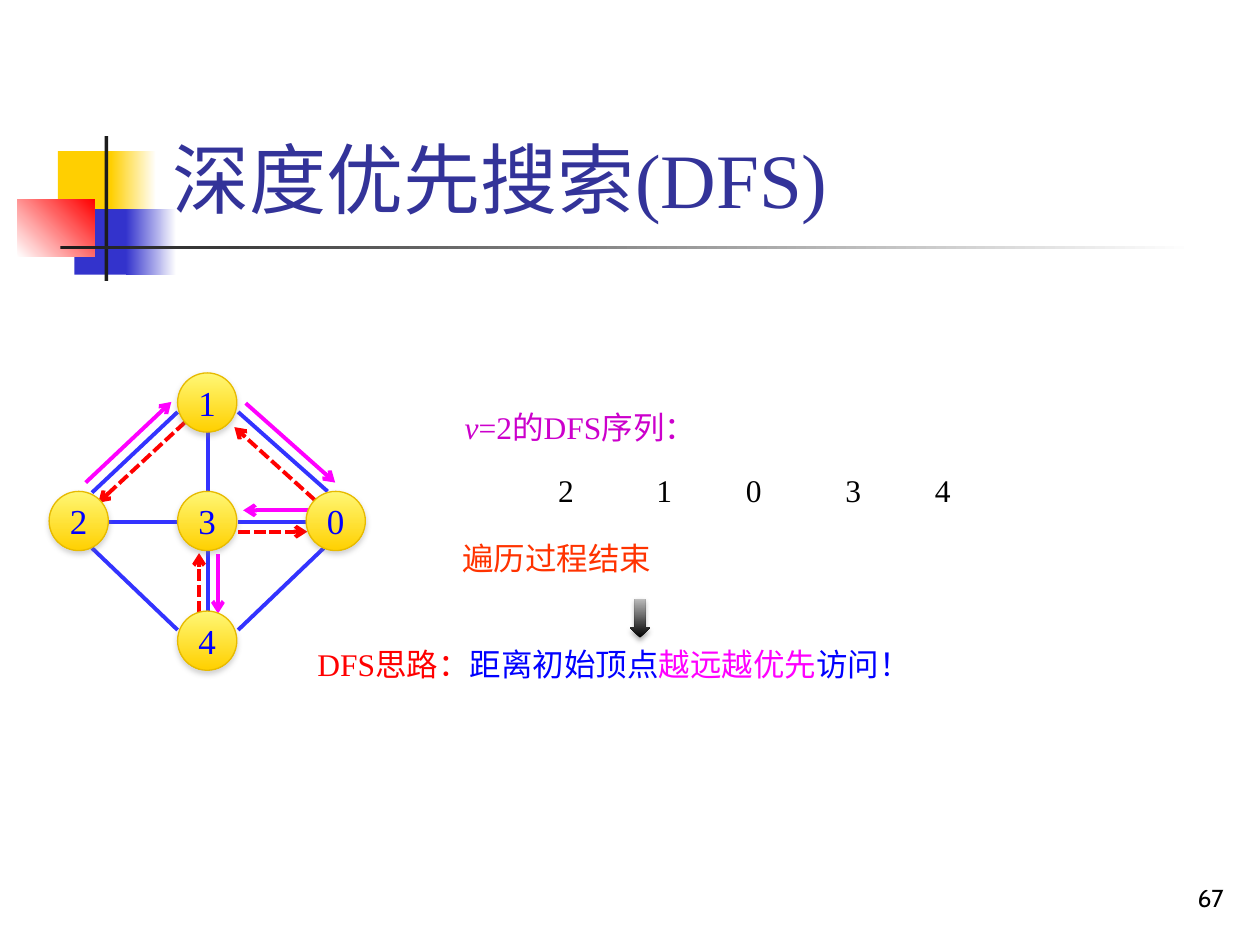
import pptx
import pptx.util
import pptx.dml.color
import pptx.enum.dml
import pptx.enum.shapes
import pptx.enum.text
import pptx.oxml
import pptx.oxml.ns
from lxml import etree

Inches = pptx.util.Inches
Shape = pptx.enum.shapes.MSO_SHAPE
Anchor = pptx.enum.text.MSO_ANCHOR
Align = pptx.enum.text.PP_ALIGN
qn = pptx.oxml.ns.qn

HEX = {
    "gold": "FFCF01", "navy": "3333CC", "white": "FFFFFF", "red": "FF0000",
    "ink": "1C1C1C", "black": "000000", "gray": "BDBDBD", "shade": "808080",
    "light": "FFF776", "deep": "FFD000", "rim": "E7BA00", "blue": "0000FF",
    "edge": "3333FF", "pink": "FF00FF", "plum": "CC00CC", "coral": "FF3300",
    "title": "333399",
}
ROMAN, HAN, CABIN = "Times New Roman", "Noto Sans CJK SC", "Cabin"

DECOR = [
    ((0.46, 1.2, 0.48, 0.52), ["gold"], 0),
    ((0.88, 1.2, 0.36, 0.52), ["gold", "white"], 0),
    ((0.59, 1.66, 0.46, 0.52), ["navy"], 0),
    ((1, 1.66, 0.4, 0.52), ["navy", "white"], 0),
    ((0.14, 1.58, 0.61, 0.46), ["white", "red"], 315),
    ((0.83, 1.08, 0.03, 1.15), ["ink"], 0),
    ((0.48, 1.95, 9, 0.03), ["ink", "white"], 0),
]
SIZE = 0.47
NODES = {"3": (1.41, 3.9), "2": (0.39, 3.9), "0": (2.43, 3.9),
         "1": (1.41, 2.96), "4": (1.41, 4.85)}
EDGES = [
    (0.73, 3.91, 1.41, 3.27), (0.86, 4.14, 1.41, 4.14),
    (1.89, 4.14, 2.44, 4.14), (0.73, 4.35, 1.41, 5),
    (1.89, 3.27, 2.6, 3.9), (1.89, 5, 2.57, 4.35),
    (1.65, 4.37, 1.65, 4.85), (1.65, 3.43, 1.65, 3.9),
]
VISITS = [(0.68, 3.83, 1.36, 3.19), (1.95, 3.2, 2.66, 3.83),
          (2.48, 4.05, 1.93, 4.05), (1.73, 4.4, 1.73, 4.87)]
RETURNS = [(1.58, 4.86, 1.58, 4.39), (1.89, 4.22, 2.44, 4.22),
           (2.5, 3.97, 1.86, 3.39), (1.47, 3.35, 0.78, 3.99)]
ORDER = [("2", 4.43), ("1", 5.21), ("0", 5.92), ("3", 6.71), ("4", 7.42)]
IDEA = [("DFS思路：", "red", ROMAN), ("距离初始顶点", "blue", HAN),
        ("越远越优先", "pink", HAN), ("访问！", "blue", HAN)]


def rgb(name):
    return pptx.dml.color.RGBColor.from_string(HEX[name])


def place(box):
    return [Inches(part) for part in box]


def style(run, name, size, face=ROMAN):
    font = run.font
    font.size = pptx.util.Pt(size)
    font.name = face
    font.color.rgb = rgb(name)
    latin = run._r.get_or_add_rPr().find(qn("a:latin"))
    east = pptx.oxml.parse_xml(
        f'<a:ea {pptx.oxml.ns.nsdecls("a")} typeface="{HAN}"/>')
    latin.addnext(east)


def paint(shape, names, turn=0):
    if len(names) == 1:
        shape.fill.solid()
        shape.fill.fore_color.rgb = rgb(names[0])
        return
    shape.fill.gradient()
    shape.fill.gradient_angle = (360 - turn) % 360
    for stop, name in zip(shape.fill.gradient_stops, names):
        stop.color.rgb = rgb(name)


def draw(slide, kind, box, names, turn=0):
    shape = slide.shapes.add_shape(kind, *place(box))
    shape.shadow.inherit = False
    shape.line.fill.background()
    paint(shape, names, turn)
    return shape


def shade(shape, name):
    effects = shape._element.spPr.find(qn("a:effectLst"))
    drop = etree.SubElement(effects, qn("a:outerShdw"), blurRad="39370",
                            dist="22860", dir="5400000", rotWithShape="0")
    tone = etree.SubElement(drop, qn("a:srgbClr"), val=HEX[name])
    etree.SubElement(tone, qn("a:alpha"), val="35000")


def link(slide, ends, name, head=False, dash=False):
    line = slide.shapes.add_connector(
        pptx.enum.shapes.MSO_CONNECTOR.STRAIGHT, *place(ends))
    line.line.color.rgb = rgb(name)
    line.line.width = pptx.util.Pt(2.25)
    if dash:
        line.line.dash_style = pptx.enum.dml.MSO_LINE.SQUARE_DOT
    props = line._element.spPr
    if head:
        etree.SubElement(props.find(qn("a:ln")), qn("a:tailEnd"), type="arrow")
    etree.SubElement(props, qn("a:effectLst"))


def pad(frame):
    frame.margin_left = frame.margin_right = 0
    frame.margin_top = frame.margin_bottom = 0


def write(slide, box, runs, size=18, bare=False):
    frame = slide.shapes.add_textbox(*place(box)).text_frame
    frame.word_wrap = True
    if bare:
        pad(frame)
    for text, name, face in runs:
        run = frame.paragraphs[0].add_run()
        run.text = text
        style(run, name, size, face)
    return frame


def node(slide, label, spot):
    oval = draw(slide, Shape.OVAL, (*spot, SIZE, SIZE), ["light", "deep"], 90)
    oval.line.color.rgb = rgb("rim")
    oval.line.width = pptx.util.Pt(0.75)
    shade(oval, "shade")
    frame = oval.text_frame
    pad(frame)
    frame.word_wrap = False
    frame.vertical_anchor = Anchor.MIDDLE
    frame.text = label
    frame.paragraphs[0].alignment = Align.CENTER
    style(frame.paragraphs[0].runs[0], "blue", 20)


def head(slide):
    title = slide.shapes.title
    title.left, title.top, title.width, title.height = place(
        (1.27, 0.99, 8.52, 1.6))
    frame = title.text_frame
    frame.text = "深度优先搜索(DFS)"
    frame.vertical_anchor = Anchor.TOP
    frame.paragraphs[0].alignment = Align.LEFT
    style(frame.paragraphs[0].runs[0], "title", 44)
    slide.shapes._spTree.append(title._element)


def main():
    """Build the depth-first search slide."""
    deck = pptx.Presentation()
    deck.slide_width, deck.slide_height = Inches(10), Inches(7.5)
    slide = deck.slides.add_slide(deck.slide_layouts[5])

    for box, names, turn in DECOR:
        draw(slide, Shape.RECTANGLE, box, names, turn)
    for ends in EDGES:
        link(slide, ends, "edge")
    for ends in VISITS:
        link(slide, ends, "pink", head=True)
    for ends in RETURNS:
        link(slide, ends, "red", head=True, dash=True)
    for label, spot in NODES.items():
        node(slide, label, spot)

    lead = write(slide, (3.59, 3.19, 2.6, 0.5),
                 [("v", "plum", ROMAN), ("=2的DFS序列：", "plum", ROMAN)])
    lead.paragraphs[0].runs[0].font.italic = True
    for label, left in ORDER:
        write(slide, (left, 3.74, 0.32, 0.4), [(label, "black", ROMAN)],
              bare=True)
    write(slide, (3.67, 4.28, 2.6, 0.4), [("遍历过程结束", "coral", ROMAN)],
          bare=True)
    write(slide, (2.42, 5.07, 6.95, 0.51), IDEA)
    arrow = draw(slide, Shape.DOWN_ARROW, (5, 4.75, 0.16, 0.31),
                 ["black", "gray"], 270)
    shade(arrow, "black")

    page = write(slide, (7.73, 6.79, 2.08, 0.5), [("67", "black", CABIN)], 14)
    page.vertical_anchor = Anchor.BOTTOM
    page.paragraphs[0].alignment = Align.RIGHT
    head(slide)
    deck.save("out.pptx")


if __name__ == "__main__":
    main()
